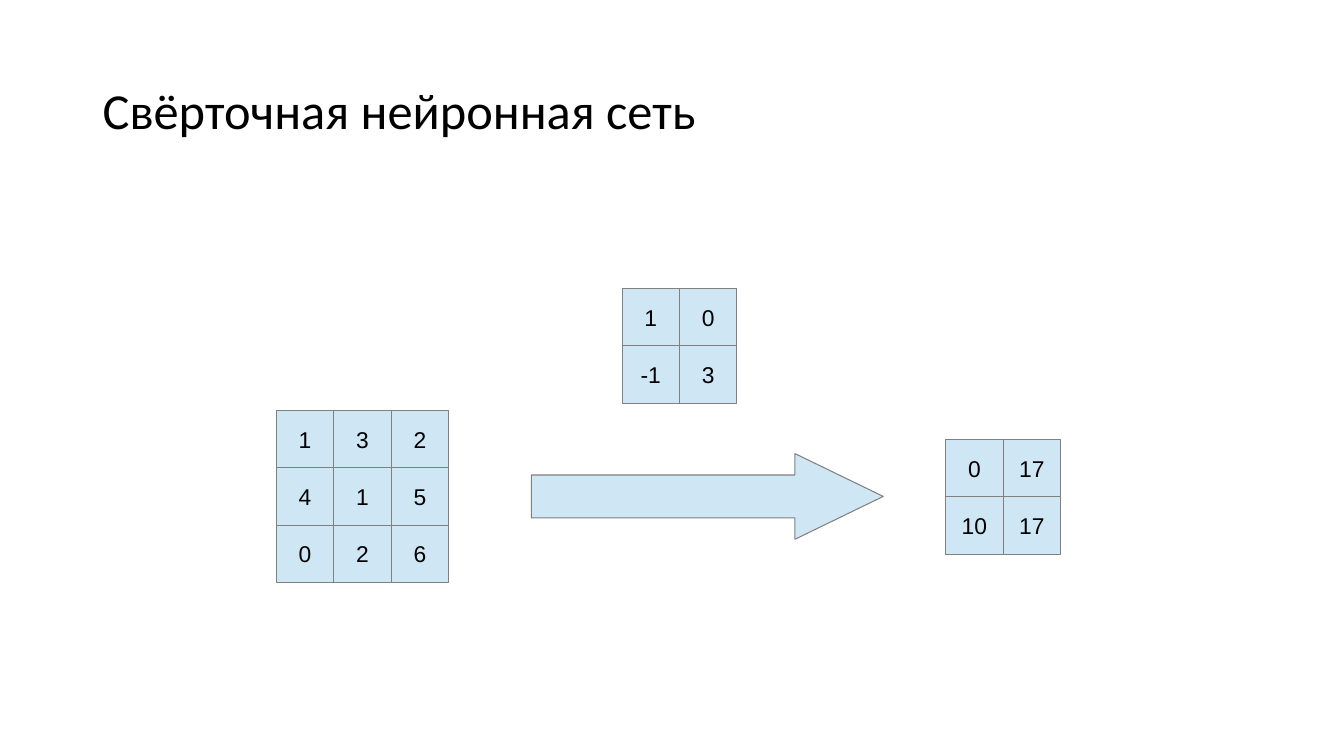
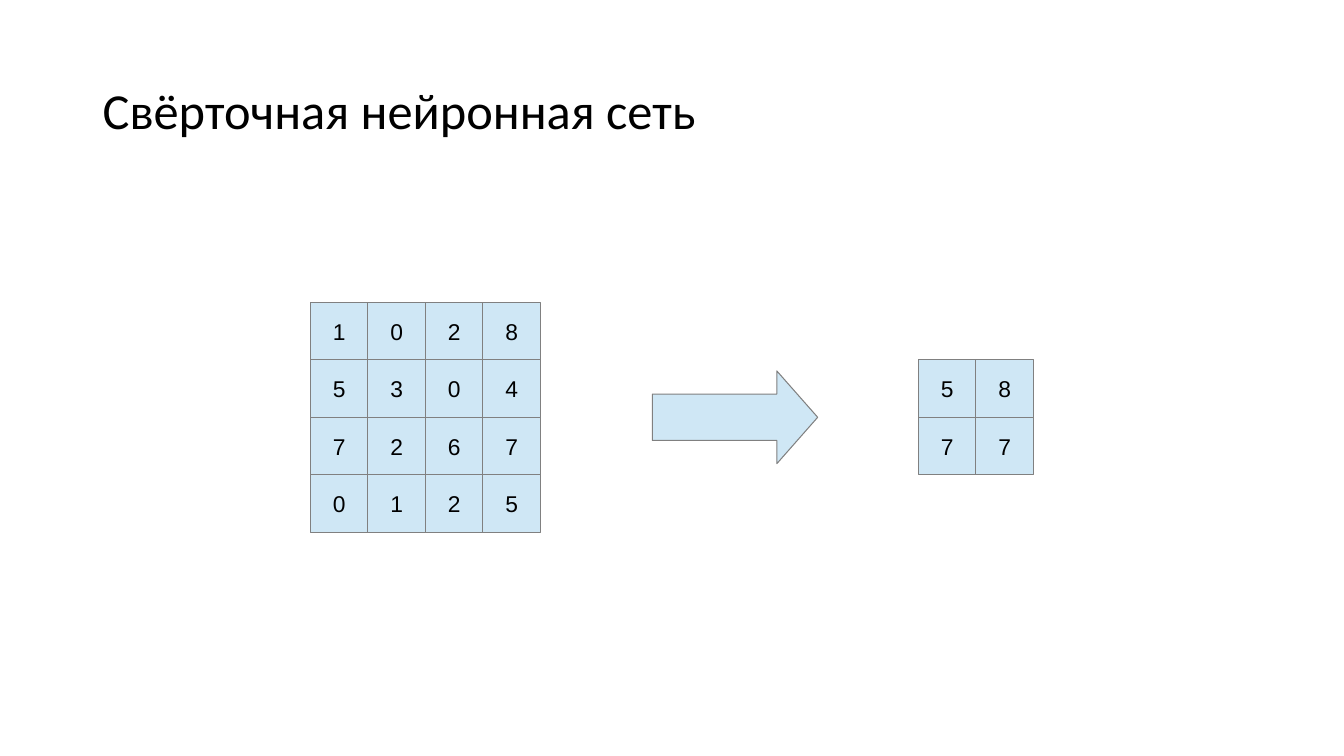
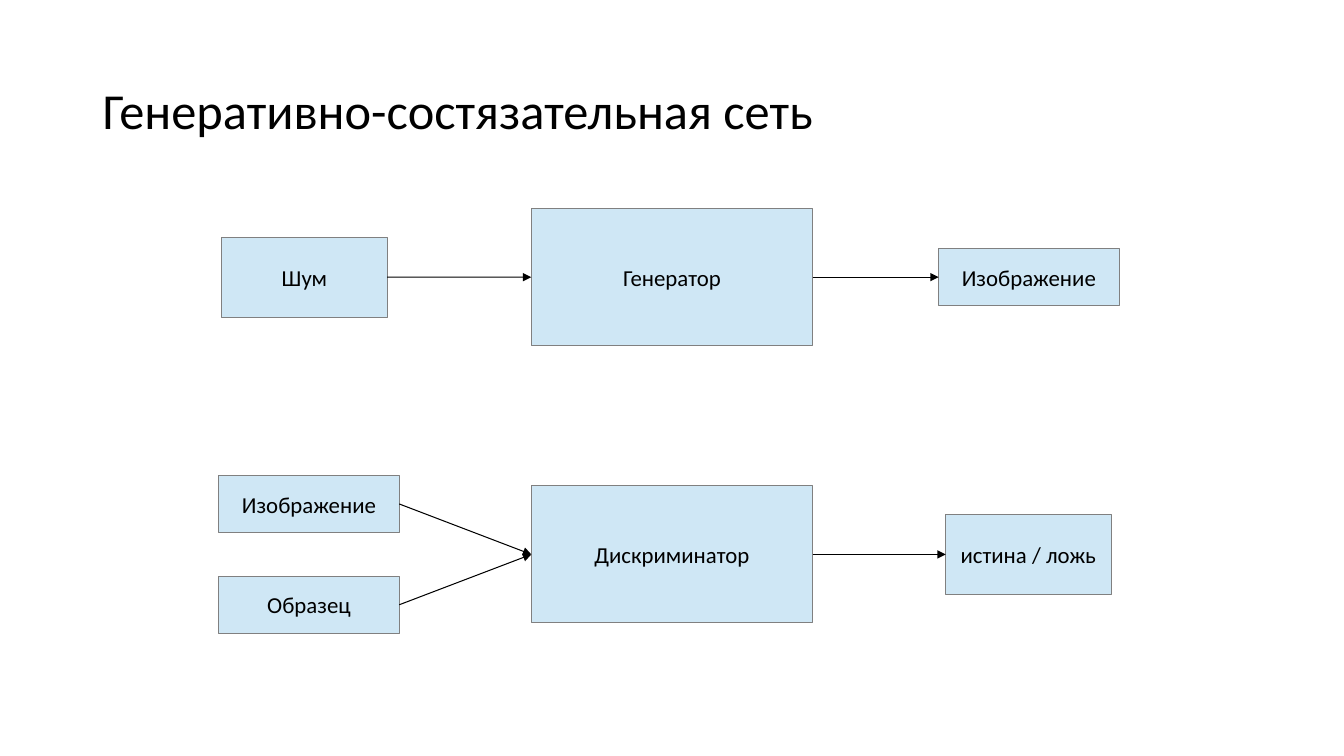
"""Build three slides on convolutional and generative adversarial networks."""
from pptx import Presentation
from pptx.dml.color import RGBColor
from pptx.enum.shapes import MSO_CONNECTOR, MSO_SHAPE
from pptx.enum.text import MSO_ANCHOR, PP_ALIGN
from pptx.oxml.ns import qn
from pptx.util import Inches, Pt
from lxml.etree import SubElement

COLORS = {"fill": "CFE7F5", "outline": "808080", "ink": "000000"}
TITLE_FONT = LABEL_FONT = "Calibri"
NUMBER_FONT = "Arial"
LABEL_SIZE = 16.3
CELL = 0.57
SMALL, MEDIUM, LARGE = (1.79, 0.57), (1.64, 0.79), (2.79, 1.36)
LEFT_SITE, RIGHT_SITE = 1, 3


def rgb(name):
    return RGBColor.from_string(COLORS[name])


def set_text(frame, text, font, size):
    frame.vertical_anchor = MSO_ANCHOR.MIDDLE
    paragraph = frame.paragraphs[0]
    paragraph.text = text
    paragraph.font.name = font
    paragraph.font.size = Pt(size)
    paragraph.font.color.rgb = rgb("ink")
    return paragraph


def add_titled_slide(deck, title):
    slide = deck.slides.add_slide(deck.slide_layouts[6])
    heading = slide.shapes.add_textbox(Inches(0.92), Inches(0.4), Inches(11.5), Inches(1.45))
    heading.text_frame.word_wrap = True
    set_text(heading.text_frame, title, TITLE_FONT, 36).line_spacing = 0.9
    return slide


def add_figure(slide, preset, left, top, width, height):
    figure = slide.shapes.add_shape(
        preset, Inches(left), Inches(top), Inches(width), Inches(height))
    figure.shadow.inherit = False
    figure.fill.solid()
    figure.fill.fore_color.rgb = rgb("fill")
    figure.line.color.rgb = rgb("outline")
    figure.line.width = Pt(0.75)
    return figure


def add_label(figure, text, font, wrap):
    frame = figure.text_frame
    frame.word_wrap = wrap
    frame.margin_left = frame.margin_right = Inches(0.09)
    frame.margin_top = frame.margin_bottom = Inches(0.04)
    set_text(frame, text, font, LABEL_SIZE).alignment = PP_ALIGN.CENTER


def add_matrix(slide, left, top, rows):
    for r, row in enumerate(rows):
        for c, number in enumerate(row):
            cell = add_figure(slide, MSO_SHAPE.RECTANGLE,
                              left + c * CELL, top + r * CELL, CELL, CELL)
            add_label(cell, str(number), NUMBER_FONT, False)


def add_block_arrow(slide, left, top, width, height, head):
    arrow = add_figure(slide, MSO_SHAPE.RIGHT_ARROW, left, top, width, height)
    arrow.adjustments[0] = 0.5
    arrow.adjustments[1] = head


def add_block(slide, text, left, middle, size):
    width, height = size
    block = add_figure(slide, MSO_SHAPE.ROUNDED_RECTANGLE,
                       left, middle - height / 2, width, height)
    block.adjustments[0] = 0
    add_label(block, text, LABEL_FONT, True)
    return block


def add_link(slide, source, target):
    link = slide.shapes.add_connector(MSO_CONNECTOR.STRAIGHT, 0, 0, 0, 0)
    link.begin_connect(source, RIGHT_SITE)
    link.end_connect(target, LEFT_SITE)
    link.line.color.rgb = rgb("ink")
    link.line.width = Pt(0.75)
    properties = link._element.spPr
    SubElement(properties.find(qn("a:ln")), qn("a:tailEnd"), type="triangle")
    SubElement(properties, qn("a:effectLst"))


def add_convolution(deck):
    slide = add_titled_slide(deck, "Свёрточная нейронная сеть")
    add_matrix(slide, 2.74, 4.07, [[1, 3, 2], [4, 1, 5], [0, 2, 6]])
    add_matrix(slide, 9.38, 4.36, [[0, 17], [10, 17]])
    add_matrix(slide, 6.17, 2.86, [[1, 0], [-1, 3]])
    add_block_arrow(slide, 5.27, 4.5, 3.49, 0.85, 1.03)


def add_pooling(deck):
    slide = add_titled_slide(deck, "Свёрточная нейронная сеть")
    add_matrix(slide, 3.08, 3, [[1, 0, 2, 8], [5, 3, 0, 4], [7, 2, 6, 7], [0, 1, 2, 5]])
    add_block_arrow(slide, 6.47, 3.68, 1.64, 0.92, 0.44)
    add_matrix(slide, 9.11, 3.57, [[5, 8], [7, 7]])


def add_adversarial(deck):
    slide = add_titled_slide(deck, "Генеративно-состязательная сеть")
    noise = add_block(slide, "Шум", 2.2, 2.75, MEDIUM)
    generated = add_block(slide, "Изображение", 9.31, 2.75, SMALL)
    candidate = add_block(slide, "Изображение", 2.17, 5, SMALL)
    sample = add_block(slide, "Образец", 2.17, 6, SMALL)
    generator = add_block(slide, "Генератор", 5.27, 2.75, LARGE)
    discriminator = add_block(slide, "Дискриминатор", 5.27, 5.5, LARGE)
    verdict = add_block(slide, "истина / ложь", 9.38, 5.5, MEDIUM)
    for source, target in [(noise, generator), (generator, generated),
                           (candidate, discriminator), (sample, discriminator),
                           (discriminator, verdict)]:
        add_link(slide, source, target)


def main():
    deck = Presentation()
    deck.slide_width, deck.slide_height = Inches(13.33), Inches(7.5)
    add_convolution(deck)
    add_pooling(deck)
    add_adversarial(deck)
    deck.save("out.pptx")


if __name__ == "__main__":
    main()
